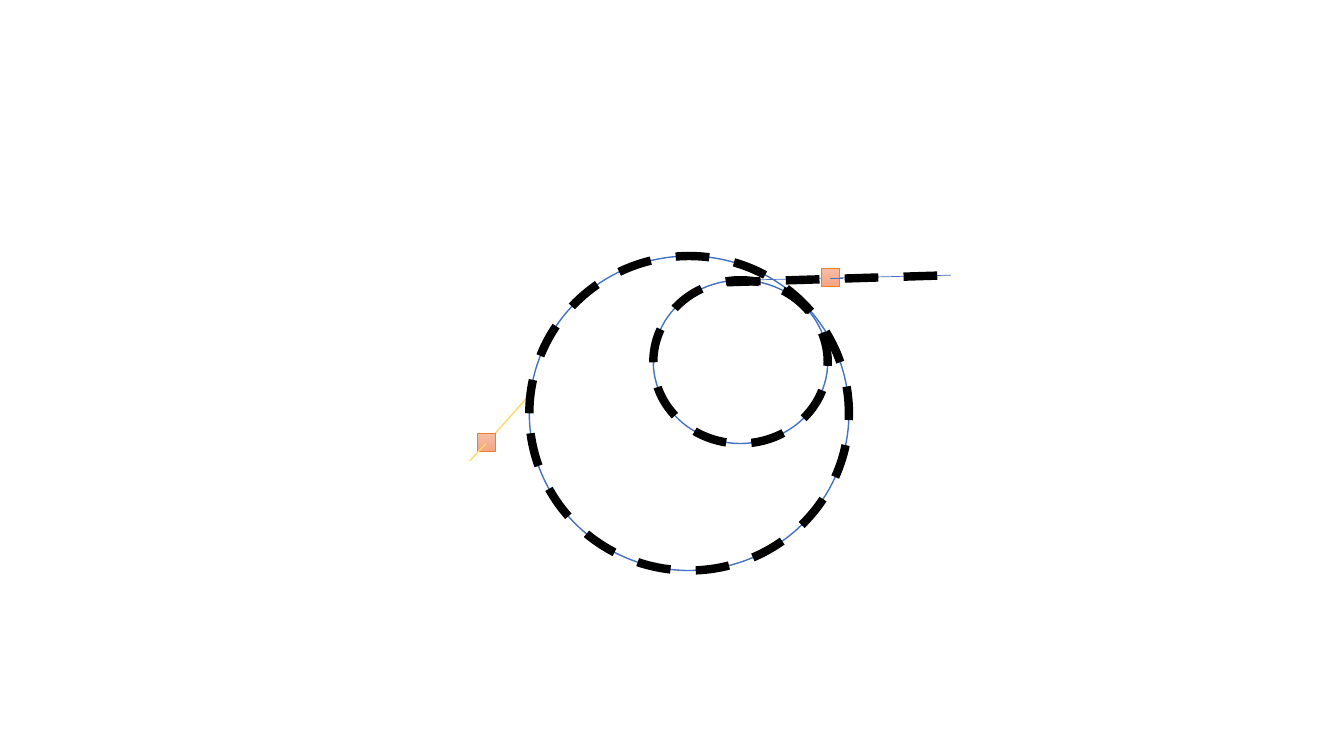
from copy import deepcopy

from lxml import etree
from pptx import Presentation
from pptx.dml.color import RGBColor
from pptx.enum.dml import MSO_LINE
from pptx.enum.shapes import MSO_CONNECTOR, MSO_SHAPE
from pptx.oxml.ns import qn
from pptx.util import Inches, Pt

DASH = MSO_LINE.DASH
STRAIGHT = MSO_CONNECTOR.STRAIGHT
OVAL = MSO_SHAPE.OVAL
NODE = MSO_SHAPE.FLOWCHART_CONNECTOR
SQUARE = MSO_SHAPE.RECTANGLE

BLUE, YELLOW, BLACK, ORANGE = "4472C4", "FFD966", "000000", "ED7D31"
SQUARE_STOPS = [(0, "F7BDA5"), (0.5, "F5B196"), (1, "F8A582")]
SQUARE_SIZE = 0.18
LARGE_RING = (5.25, 2.54, 3.17, 3.12)
SMALL_RING = (6.48, 2.78, 1.73, 1.62)


def color(hex_value):
    return RGBColor.from_string(hex_value)


def set_line(item, hex_value, width, dash=None):
    item.line.color.rgb = color(hex_value)
    item.line.width = Pt(width)
    if dash is not None:
        item.line.dash_style = dash


deck = Presentation()
deck.slide_width, deck.slide_height = Inches(13.33), Inches(7.5)
page = deck.slides.add_slide(deck.slide_layouts[6])

# Every part from back to front: kind, geometry, line format
parts = [
    (OVAL, LARGE_RING, (BLUE, 1)),
    (STRAIGHT, (5.25, 3.92, 4.75, 4.48), (YELLOW, 1)),
    (OVAL, SMALL_RING, (BLUE, 1)),
    (NODE, SMALL_RING, (BLACK, 6, DASH)),
    (NODE, LARGE_RING, (BLACK, 6, DASH)),
    (STRAIGHT, (9.43, 2.73, 7.35, 2.78), (BLUE, 0.5)),
    (STRAIGHT, (7.21, 2.8, 9.43, 2.73), (BLACK, 6, DASH)),
    (SQUARE, (8.15, 2.66, SQUARE_SIZE, SQUARE_SIZE), (ORANGE, 0.5)),
    (SQUARE, (4.73, 4.3, SQUARE_SIZE, SQUARE_SIZE), (ORANGE, 0.5)),
    (STRAIGHT, (4.82, 4.4, 4.66, 4.57), (YELLOW, 1)),
    (STRAIGHT, (8.23, 2.76, 8.36, 2.76), (BLUE, 0.5)),
]

for kind, geometry, line_format in parts:
    lengths = [Inches(value) for value in geometry]

    # Connectors take start and end points
    if kind is STRAIGHT:
        connector = page.shapes.add_connector(kind, *lengths)
        set_line(connector, *line_format)
        etree.SubElement(connector._element.spPr, qn("a:effectLst"))
        continue

    shape = page.shapes.add_shape(kind, *lengths)
    shape.shadow.inherit = False
    set_line(shape, *line_format)
    if kind is not SQUARE:
        shape.fill.background()
        continue

    # Squares shade from top to bottom through three stops
    shape.fill.gradient()
    shape.fill.gradient_angle = 270
    stop_list = shape._element.spPr.find(".//" + qn("a:gsLst"))
    stop_list.insert(1, deepcopy(stop_list[0]))
    for stop, (position, hex_value) in zip(shape.fill.gradient_stops, SQUARE_STOPS):
        stop.position = position
        stop.color.rgb = color(hex_value)

deck.save("out.pptx")
